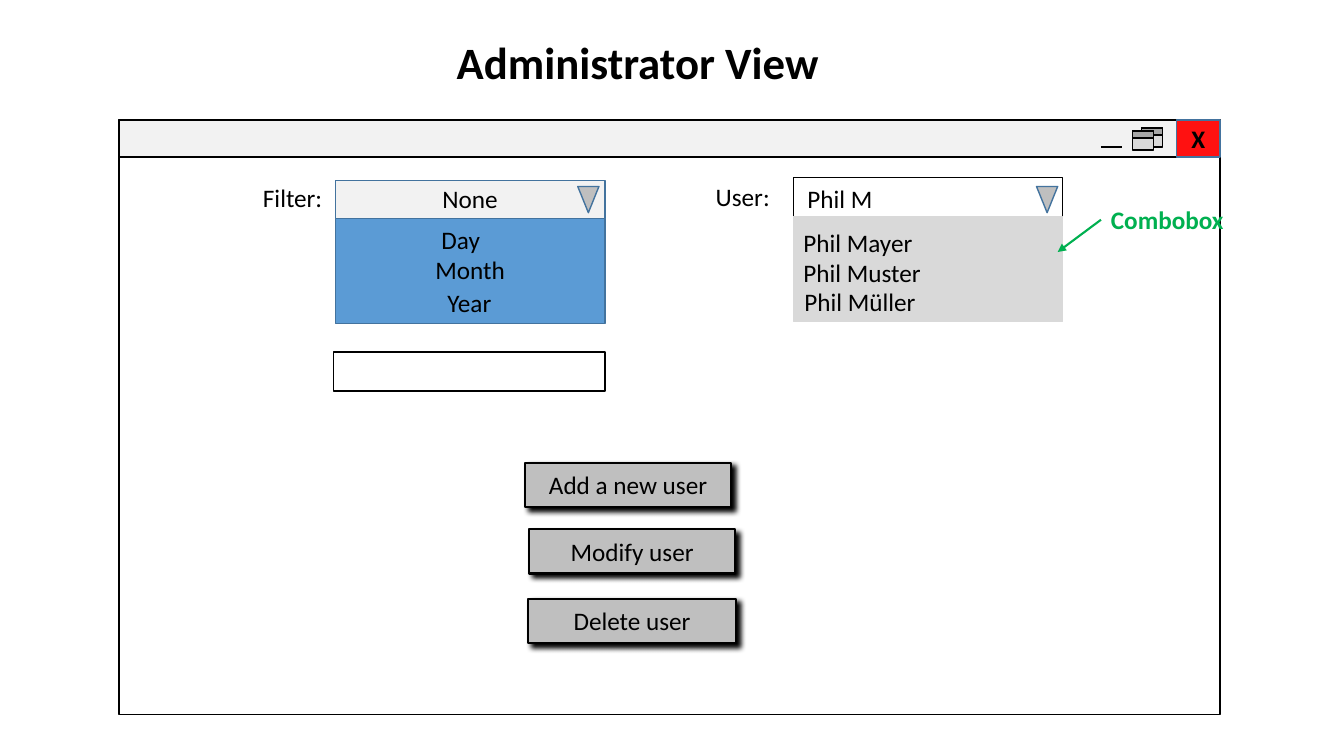
from lxml import etree
from pptx import Presentation
from pptx.dml.color import RGBColor
from pptx.enum.shapes import MSO_CONNECTOR, MSO_SHAPE
from pptx.enum.text import MSO_ANCHOR, MSO_AUTO_SIZE, PP_ALIGN
from pptx.oxml.ns import qn
from pptx.util import Inches, Pt

RECTANGLE, TRIANGLE = MSO_SHAPE.RECTANGLE, MSO_SHAPE.ISOSCELES_TRIANGLE
STRAIGHT = MSO_CONNECTOR.STRAIGHT
LEFT, CENTER = PP_ALIGN.LEFT, PP_ALIGN.CENTER
TOP, MIDDLE = MSO_ANCHOR.TOP, MSO_ANCHOR.MIDDLE
NO_FIT = MSO_AUTO_SIZE.NONE

FONT = "Calibri"
BLACK = RGBColor(0x00, 0x00, 0x00)
WHITE = RGBColor(0xFF, 0xFF, 0xFF)
PALE = RGBColor(0xF2, 0xF2, 0xF2)
LIGHT = RGBColor(0xD9, 0xD9, 0xD9)
SILVER = RGBColor(0xBF, 0xBF, 0xBF)
GRAY = RGBColor(0xA6, 0xA6, 0xA6)
RED = RGBColor(0xFF, 0x11, 0x11)
BLUE = RGBColor(0x5B, 0x9B, 0xD5)
DARK_BLUE = RGBColor(0x43, 0x73, 0x9E)
GREEN = RGBColor(0x00, 0xB0, 0x50)

deck = Presentation()
deck.slide_width, deck.slide_height = Inches(13.33), Inches(7.5)
page = deck.slides.add_slide(deck.slide_layouts[5])


def draw(left, top, width, height, fill=None, line=BLACK, weight=1, kind=RECTANGLE):
    shape = page.shapes.add_shape(
        kind, Inches(left), Inches(top), Inches(width), Inches(height))
    if fill is None:
        shape.fill.background()
    else:
        shape.fill.solid()
        shape.fill.fore_color.rgb = fill
    shape.line.color.rgb = line
    shape.line.width = Pt(weight)
    shape.shadow.inherit = False
    return shape


def write(box, text, size=18, color=BLACK, bold=False, align=LEFT, anchor=TOP, wrap=False):
    frame = box.text_frame
    frame.word_wrap = wrap
    frame.auto_size = NO_FIT
    frame.vertical_anchor = anchor
    para = frame.paragraphs[0]
    para.alignment = align
    span = para.add_run()
    span.text = text
    span.font.name, span.font.size, span.font.bold = FONT, Pt(size), bold
    span.font.color.rgb = color


# Title
title = page.shapes.title
title.left, title.top = Inches(4.43), Inches(0.29)
title.width, title.height = Inches(3.82), Inches(0.64)
write(title, "Administrator View", size=32, bold=True)

# Window frame, title bar and close button
draw(1.18, 1.19, 10.92, 5.9)
draw(1.18, 1.19, 10.92, 0.37, PALE)
close_button = draw(11.67, 1.19, 0.43, 0.37, RED, DARK_BLUE)
write(close_button, "X", bold=True, align=CENTER, anchor=MIDDLE)

# Restore icon: two overlapping small windows
for left, top in [(11.32, 1.27), (11.23, 1.3)]:
    draw(left, top, 0.21, 0.19, LIGHT)
    draw(left, top, 0.21, 0.07, GRAY)

# Filter list, user combobox and empty input field
draw(3.33, 2.17, 2.67, 1.04, BLUE, DARK_BLUE)
draw(3.33, 1.79, 2.67, 0.38, PALE, DARK_BLUE)
draw(7.87, 1.76, 2.67, 0.39, WHITE)
draw(7.87, 2.15, 2.67, 1.04, LIGHT, LIGHT)
draw(3.31, 3.49, 2.69, 0.39, WHITE)
for left in (5.73, 10.28):
    arrow = draw(left, 1.85, 0.21, 0.26, SILVER, DARK_BLUE, kind=TRIANGLE)
    arrow.rotation = 180

# Labels and list entries
labels = [
    ("Filter:", 2.51, 1.76, 0.8),
    ("None", 4.29, 1.77, 0.76),
    ("Day", 4.28, 2.18, 0.59),
    ("Month", 4.22, 2.47, 0.9),
    ("Year", 4.34, 2.8, 0.64),
    ("User: ", 7, 1.75, 0.8),
    ("Phil M", 7.91, 1.77, 0.85),
    ("Phil Mayer", 7.87, 2.21, 1.3),
    ("Phil Muster", 7.87, 2.5, 1.38),
    ("Phil Müller", 7.88, 2.79, 1.32),
]
for text, left, top, width in labels:
    label = page.shapes.add_textbox(Inches(left), Inches(top), Inches(width), Inches(0.4))
    write(label, text)

# Combobox annotation
note = page.shapes.add_textbox(Inches(10.92), Inches(1.98), Inches(1.67), Inches(0.4))
write(note, "Combobox", color=GREEN, bold=True, wrap=True)

# Minimize line and annotation arrow
lines = [
    (10.92, 1.46, 11.13, 1.46, BLACK, 1, False),
    (10.92, 2.18, 10.49, 2.5, GREEN, 1.5, True),
]
for x1, y1, x2, y2, color, weight, has_arrowhead in lines:
    connector = page.shapes.add_connector(
        STRAIGHT, Inches(x1), Inches(y1), Inches(x2), Inches(y2))
    connector.line.color.rgb = color
    connector.line.width = Pt(weight)
    if has_arrowhead:
        etree.SubElement(connector.line._get_or_add_ln(), qn("a:tailEnd"), type="triangle")
    etree.SubElement(connector._element.spPr, qn("a:effectLst"))

# User buttons with a hard drop shadow
buttons = [
    ("Add a new user", 5.21, 4.59, 2.04),
    ("Modify user", 5.25, 5.25, 2.04),
    ("Delete user", 5.24, 5.94, 2.06),
]
for text, left, top, width in buttons:
    button = draw(left, top, width, 0.44, SILVER, weight=1.5)
    write(button, text, align=CENTER, anchor=MIDDLE, wrap=True)
    effects = button._element.spPr.find(qn("a:effectLst"))
    shadow = etree.SubElement(
        effects, qn("a:outerShdw"), blurRad=str(Pt(4)), dist=str(Pt(4)),
        dir=str(40 * 60000), algn="tl", rotWithShape="0")
    etree.SubElement(shadow, qn("a:srgbClr"), val=str(BLACK))

deck.save("out.pptx")
